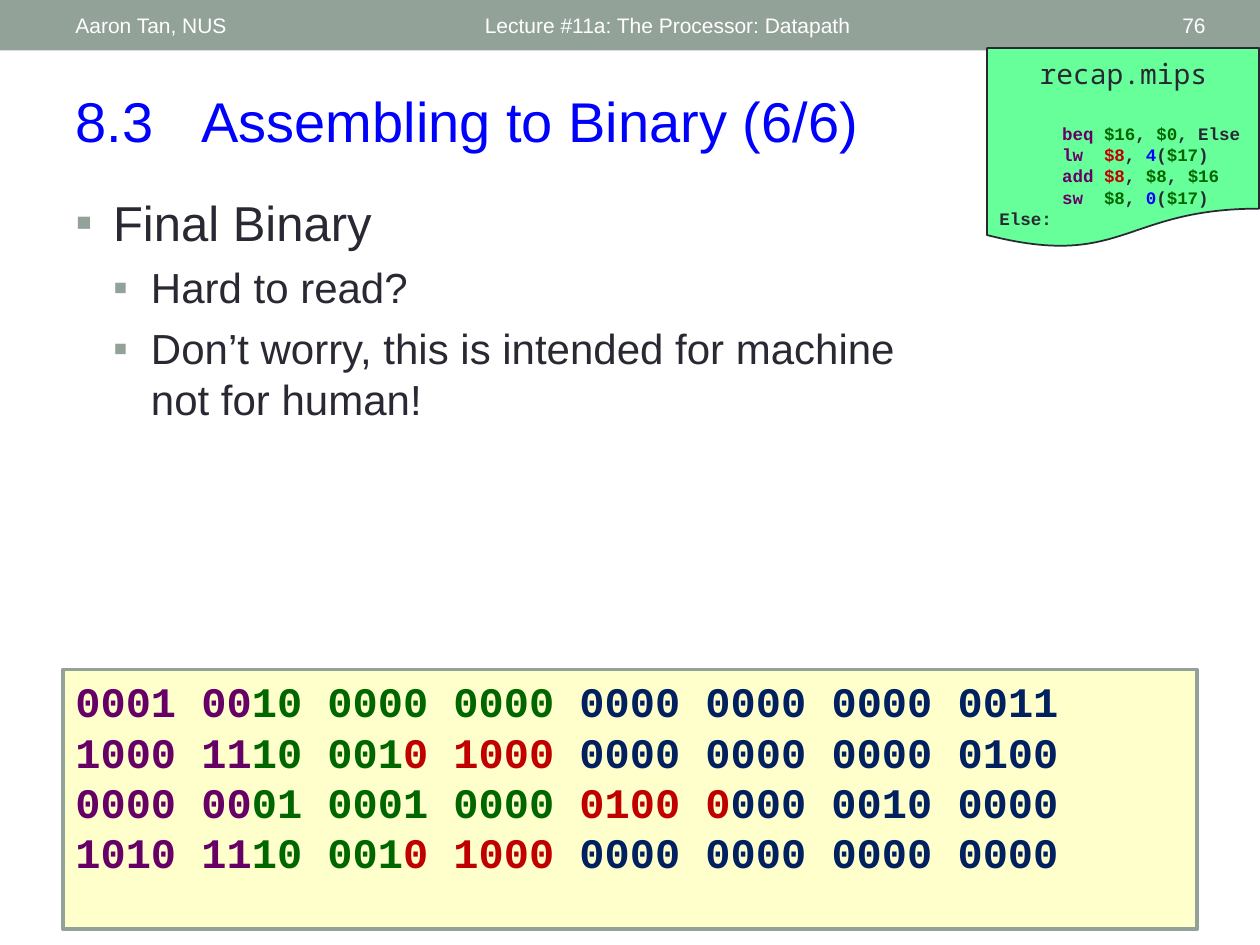
from pptx import Presentation
from pptx.dml.color import RGBColor
from pptx.enum.shapes import MSO_SHAPE
from pptx.enum.text import MSO_ANCHOR, PP_ALIGN
from pptx.oxml.ns import qn
from pptx.util import Pt
from lxml.etree import SubElement

COLOURS = {
    "sage": "93A299", "white": "FFFFFF", "title": "0000FF", "ink": "292934",
    "mint": "66FF99", "cream": "FFFFCC", "opcode": "660066",
    "source": "006600", "target": "C00000", "number": "0000FF",
    "immediate": "002060",
}
CODE = {"name": "Courier New", "bold": True}


class SlideBuilder:
    """Holds the style and the slide being drawn."""

    def __init__(self, slide, font="Arial"):
        self.slide = slide
        self.font = font

    def colour(self, name):
        return RGBColor.from_string(COLOURS[name])

    def shape(self, kind, box, fill, line=None, width=1):
        shape = self.slide.shapes.add_shape(kind, *map(Pt, box))
        shape.shadow.inherit = False
        shape.fill.solid()
        shape.fill.fore_color.rgb = self.colour(fill)
        if line:
            shape.line.color.rgb = self.colour(line)
            shape.line.width = Pt(width)
        else:
            shape.line.fill.background()
        return shape

    def text_frame(self, box, anchor=MSO_ANCHOR.TOP):
        frame = self.slide.shapes.add_textbox(*map(Pt, box)).text_frame
        frame.word_wrap = True
        frame.vertical_anchor = anchor
        return frame

    def paragraph(self, frame, runs, size, bullet_level=None, font=None, **layout):
        """Add one paragraph of (text, colour) runs; a newline breaks the line."""
        first = frame.paragraphs[0]
        paragraph = frame.add_paragraph() if first.runs else first
        if bullet_level is not None:
            self.bullet(paragraph, bullet_level)
        for name, value in ({"alignment": PP_ALIGN.LEFT} | layout).items():
            setattr(paragraph, name, value)
        for text, colour in runs:
            for index, part in enumerate(text.split("\n")):
                if index:
                    paragraph.add_line_break()
                run = paragraph.add_run()
                run.text = part
                style = {"name": self.font, "size": Pt(size)} | (font or {})
                for name, value in style.items():
                    setattr(run.font, name, value)
                run.font.color.rgb = self.colour(colour)

    def bullet(self, paragraph, level):
        paragraph.level = level
        properties = paragraph._p.get_or_add_pPr()
        properties.set("marL", str(Pt(21.6 * (level + 1))))
        properties.set("indent", str(-Pt(21.6)))
        colour = SubElement(properties, qn("a:buClr"))
        SubElement(colour, qn("a:srgbClr"), val=COLOURS["sage"])
        SubElement(properties, qn("a:buFont"), typeface=self.font)
        SubElement(properties, qn("a:buChar"), char="▪")

    def label(self, box, text, size, colour, anchor=MSO_ANCHOR.MIDDLE, **layout):
        frame = self.text_frame(box, anchor)
        self.paragraph(frame, [(text, colour)], size, **layout)


def main():
    presentation = Presentation()
    presentation.slide_width, presentation.slide_height = Pt(720), Pt(540)
    slide = presentation.slides.add_slide(presentation.slide_layouts[6])
    builder = SlideBuilder(slide)

    # Header band
    builder.shape(MSO_SHAPE.RECTANGLE, (0, 0, 720, 28.8), "sage")
    for left, width, text, alignment in [
        (36, 228, "Aaron Tan, NUS", PP_ALIGN.LEFT),
        (270, 324, "Lecture #11a: The Processor: Datapath", PP_ALIGN.LEFT),
        (628, 68, "76", PP_ALIGN.RIGHT),
    ]:
        builder.label((left, 1.5, width, 26), text, 12, "white", alignment=alignment)

    # Title
    builder.label((36, 46, 648, 46), "8.3\tAssembling to Binary (6/6)", 32, "title",
                  MSO_ANCHOR.TOP)

    # Bullets
    body = builder.text_frame((36, 106.5, 640, 400))
    for level, size, before, text in [
        (0, 28, 0, "Final Binary"),
        (1, 24, 6, "Hard to read?"),
        (1, 24, 6, "Don’t worry, this is intended for machine\nnot for human!"),
    ]:
        builder.paragraph(body, [(text, "ink")], size, level, space_before=Pt(before))

    # Assembly recap note
    builder.shape(MSO_SHAPE.FLOWCHART_DOCUMENT, (564, 27.4, 155.5, 114.5), "mint", "ink")
    recap = builder.text_frame((564, 28.8, 156, 106.5))
    builder.paragraph(recap, [("recap.mips", "ink")], 16, font={"name": "Noto Sans Mono"},
                      alignment=PP_ALIGN.CENTER)
    comma = (", ", "ink")
    address = [("(", "ink"), ("$17", "source"), (")", "ink")]
    assembly = [
        [("      beq ", "opcode"), ("$16", "source"), comma, ("$0", "source"),
         (", Else", "ink")],
        [("      lw  ", "opcode"), ("$8", "target"), comma, ("4", "number"), *address],
        [("      add ", "opcode"), ("$8", "target"), comma, ("$8", "source"), comma,
         ("$16", "source")],
        [("      sw  ", "opcode"), ("$8", "source"), comma, ("0", "number"), *address],
        [("Else:", "ink")],
    ]
    for index, runs in enumerate(assembly):
        builder.paragraph(recap, runs, 10, font=CODE, space_before=Pt(0 if index else 19))

    # Final binary code
    panel = builder.shape(MSO_SHAPE.RECTANGLE, (36, 382.5, 648, 148.5), "cream", "sage", 2)
    binary = panel.text_frame
    binary.vertical_anchor = MSO_ANCHOR.TOP
    for opcode, source, target, rest in [
        ("0001 00", "10 0000 0000 ", "", "0000 0000 0000 0011"),
        ("1000 11", "10 001", "0 1000", " 0000 0000 0000 0100"),
        ("0000 00", "01 0001 0000 ", "0100 0", "000 0010 0000"),
        ("1010 11", "10 001", "0 1000", " 0000 0000 0000 0000"),
    ]:
        fields = [(opcode, "opcode"), (source, "source"), (target, "target"),
                  (rest, "immediate")]
        builder.paragraph(binary, [field for field in fields if field[0]], 24, font=CODE)

    presentation.save("out.pptx")


if __name__ == "__main__":
    main()
